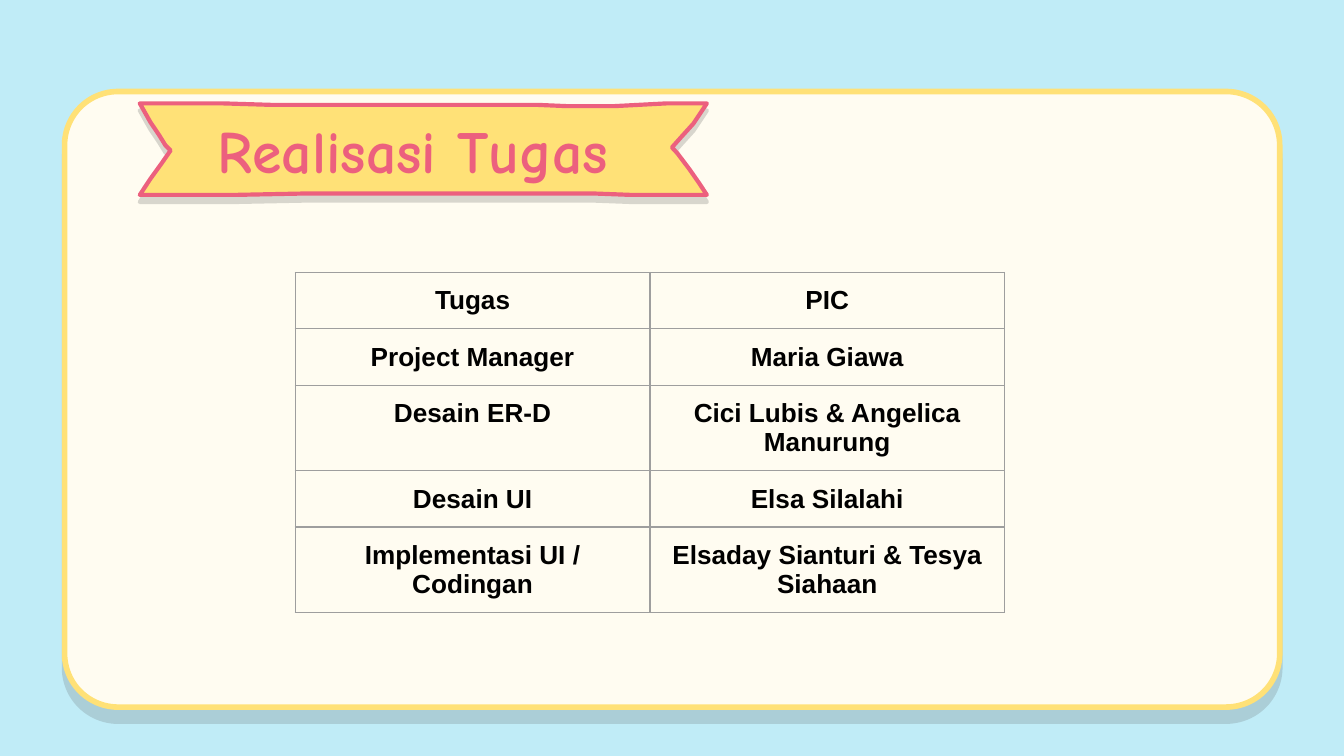
from lxml.etree import SubElement
from pptx import Presentation
from pptx.dml.color import RGBColor
from pptx.enum.shapes import MSO_SHAPE as Shape
from pptx.enum.text import MSO_ANCHOR as Anchor, PP_ALIGN as Align
from pptx.oxml.ns import qn
from pptx.util import Pt

# Content
TITLE = "Realisasi Tugas"
TASKS = [
    ("Tugas", "PIC"),
    ("Project Manager", "Maria Giawa"),
    ("Desain ER-D", "Cici Lubis & Angelica Manurung"),
    ("Desain UI", "Elsa Silalahi"),
    ("Implementasi UI / Codingan", "Elsaday Sianturi & Tesya Siahaan"),
]
SKY, CREAM, YELLOW, PINK = "C0ECF7", "FFFCF1", "FFE177", "EC607E"
BLACK, GREY = "000000", "9E9E9E"

# Ribbon outline, in points
RIBBON = [
    (74.9, 55.4), (80.6, 65.5), (85, 72), (88.6, 77.8), (91.4, 80.6),
    (86.4, 87.8), (80.6, 95.8), (74.9, 104.4), (126.7, 104.4), (162, 103.7),
    (319, 103.7), (337.7, 104.4), (378.7, 104.4), (374.4, 97.9),
    (369.4, 90.7), (362.9, 82.1), (360, 79), (365, 73.4), (371.5, 66.2),
    (378.7, 55.4), (357.1, 55.4), (329, 56.9), (303.8, 56.9), (288, 56.2),
    (145.4, 56.2), (119.5, 55.4),
]
COLUMN_WIDTH, ROW_HEIGHT = 190, 30.1
INSET = Pt(7.2)


def color(code):
    return RGBColor.from_string(code)


def paint(shape, fill, line, width):
    shape.fill.solid()
    shape.fill.fore_color.rgb = color(fill)
    shape.line.color.rgb = color(line)
    shape.line.width = Pt(width)


def drop_shadow(shape, code, distance):
    """Add a straight-down shadow at 20 % opacity."""
    shape.shadow.inherit = False
    effects = shape.element.spPr.find(qn("a:effectLst"))
    shadow = SubElement(effects, qn("a:outerShdw"), dist=str(Pt(distance)),
                        dir="5400000", algn="bl", rotWithShape="0")
    tint = SubElement(shadow, qn("a:srgbClr"), val=code)
    SubElement(tint, qn("a:alpha"), val="20000")


def write(frame, text, font, size, code):
    frame.text = text
    para = frame.paragraphs[0]
    para.alignment = Align.CENTER
    span = para.runs[0].font
    span.name, span.size, span.bold = font, Pt(size), True
    span.color.rgb = color(code)


def border(cell, code, width):
    properties = cell._tc.get_or_add_tcPr()
    for index, side in enumerate(("lnL", "lnR", "lnT", "lnB")):
        line = properties.makeelement(qn(f"a:{side}"), {"w": str(Pt(width))})
        fill = SubElement(line, qn("a:solidFill"))
        SubElement(fill, qn("a:srgbClr"), val=code)
        properties.insert(index, line)


# Deck and background
deck = Presentation()
deck.slide_width, deck.slide_height = Pt(720), Pt(405)
page = deck.slides.add_slide(deck.slide_layouts[5])
page.background.fill.solid()
page.background.fill.fore_color.rgb = color(SKY)

# Rounded card
card = page.shapes.add_shape(Shape.ROUNDED_RECTANGLE,
                             Pt(34.6), Pt(49), Pt(651), Pt(329.8))
card.adjustments[0] = 0.087
paint(card, CREAM, YELLOW, 3)
drop_shadow(card, "585858", 7.5)

# Ribbon
points = [(Pt(x), Pt(y)) for x, y in RIBBON]
builder = page.shapes.build_freeform(*points[0])
builder.add_line_segments(points[1:], close=True)
ribbon = builder.convert_to_shape()
paint(ribbon, YELLOW, PINK, 2.25)
drop_shadow(ribbon, "404040", 3.8)

# Title, brought in front of the ribbon
title = page.shapes.title
title.element.getparent().append(title.element)
title.left, title.top, title.width, title.height = (
    Pt(74.9), Pt(58.3), Pt(293), Pt(43.2))
frame = title.text_frame
frame.margin_left = frame.margin_right = INSET
frame.margin_top = frame.margin_bottom = INSET
frame.vertical_anchor = Anchor.MIDDLE
frame.word_wrap = True
write(frame, TITLE, "Comic Neue", 32, PINK)

# Task table; rows with two lines grow
columns = len(TASKS[0])
table = page.shapes.add_table(
    len(TASKS), columns, Pt(158.2), Pt(146),
    Pt(COLUMN_WIDTH * columns), Pt(ROW_HEIGHT * len(TASKS))).table
table.first_row = table.horz_banding = False
for column in table.columns:
    column.width = Pt(COLUMN_WIDTH)
for row, texts in zip(table.rows, TASKS):
    row.height = Pt(ROW_HEIGHT)
    for cell, text in zip(row.cells, texts):
        cell.margin_left = cell.margin_right = INSET
        cell.margin_top = cell.margin_bottom = INSET
        cell.fill.background()
        border(cell, GREY, 0.75)
        write(cell.text_frame, text, "Arial", 14, BLACK)

deck.save("out.pptx")
